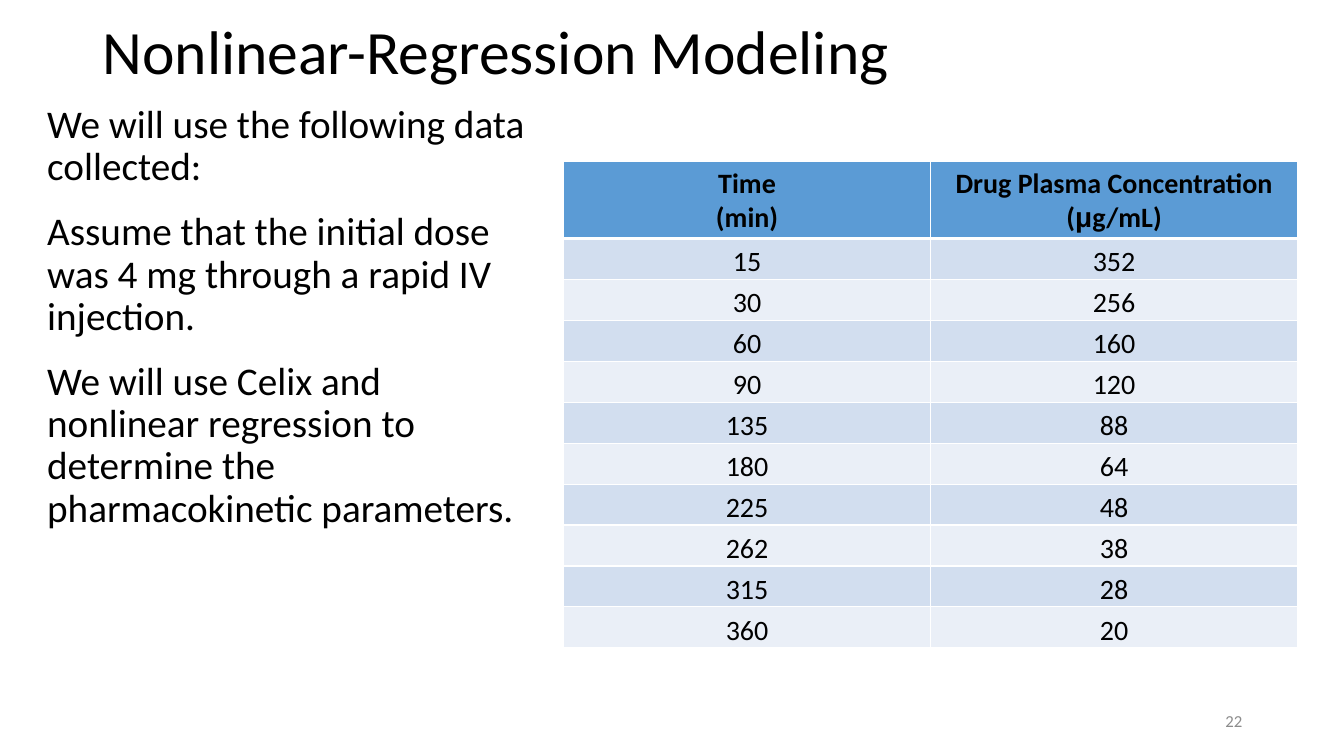
from dataclasses import dataclass
from lxml.etree import SubElement as Sub
from pptx import Presentation
from pptx.dml.color import RGBColor as Color
from pptx.enum.text import MSO_ANCHOR as Anchor, PP_ALIGN as Align
from pptx.oxml.ns import qn
from pptx.util import Inches, Pt

TITLE = "Nonlinear-Regression Modeling"
BODY = [
    "We will use the following data collected:",
    "Assume that the initial dose was 4 mg through a rapid IV injection.",
    "We will use Celix and nonlinear regression to determine the pharmacokinetic parameters.",
]
PAGE = "22"
HEADS = ["Time\n(min)", "Drug Plasma Concentration (μg/mL)"]
DATA = [
    (15, 352), (30, 256), (60, 160), (90, 120), (135, 88),
    (180, 64), (225, 48), (262, 38), (315, 28), (360, 20),
]


@dataclass
class Theme:
    font: str = "Calibri"
    greek: str = "Arial"
    ink: str = "000000"
    gray: str = "8C8C8C"
    head: str = "5B9BD5"
    bands: tuple = ("D2DEEF", "EAEFF7")
    line: str = "FFFFFF"
    title: int = 44
    body: int = 28
    cell: int = 20
    page: int = 12


theme = Theme()


def style(run, size, ink=theme.ink, bold=False, font=theme.font):
    run.font.name = font
    run.font.size = Pt(size)
    run.font.bold = bold
    run.font.color.rgb = Color.from_string(ink)


def add_text(slide, box, text, size, ink=theme.ink, anchor=Anchor.MIDDLE,
             align=Align.LEFT, pitch=None, gaps=(0, 0)):
    frame = slide.shapes.add_textbox(*map(Inches, box)).text_frame
    frame.word_wrap = True
    frame.vertical_anchor = anchor
    frame.text = text
    for para in frame.paragraphs:
        para.alignment = align
        para.line_spacing = pitch
        para.space_before, para.space_after = map(Pt, gaps)
        for run in para.runs:
            style(run, size, ink)


def add_edges(cell, top=1, low=1):
    props = cell._tc.get_or_add_tcPr()
    for tag, width in (("lnL", 1), ("lnR", 1), ("lnT", top), ("lnB", low)):
        edge = Sub(props, qn("a:" + tag), w=str(Pt(width)))
        fill = Sub(edge, qn("a:solidFill"))
        Sub(fill, qn("a:srgbClr"), val=theme.line)


def fill_cell(cell, text, shade, bold):
    cell.text_frame.text = text
    for para in cell.text_frame.paragraphs:
        para.alignment = Align.CENTER
        left, greek, right = para.text.partition("μ")
        para.text = left
        for part in filter(None, (greek, right)):
            para.add_run().text = part
        for run in para.runs:
            font = theme.greek if run.text == "μ" else theme.font
            style(run, theme.cell, bold=bold, font=font)
    cell.fill.solid()
    cell.fill.fore_color.rgb = Color.from_string(shade)


def add_data(slide):
    left, top, width, tall, row = 5.59, 1.6, 7.28, 0.76, 0.406
    rows = [HEADS, *DATA]
    box = map(Inches, (left, top, width, tall + row * len(DATA)))
    table = slide.shapes.add_table(len(rows), len(HEADS), *box).table
    for col in table.columns:
        col.width = Inches(width / len(HEADS))
    for i, vals in enumerate(rows):
        table.rows[i].height = Inches(row if i else tall)
        shade = theme.bands[(i - 1) % 2] if i else theme.head
        for j, val in enumerate(vals):
            cell = table.cell(i, j)
            add_edges(cell, 3 if i == 1 else 1, 1 if i else 3)
            fill_cell(cell, str(val), shade, i == 0)
            if i:
                cell.vertical_anchor = Anchor.BOTTOM
                cell.margin_left = cell.margin_right = cell.margin_top = Inches(0.01)
                cell.margin_bottom = 0


def main():
    deck = Presentation()
    deck.slide_width, deck.slide_height = Inches(13.33), Inches(7.5)
    slide = deck.slides.add_slide(deck.slide_layouts[6])
    add_text(slide, (0.92, 0.02, 11.5, 1.05), TITLE, theme.title, pitch=0.9)
    add_text(slide, (9.42, 6.95, 3, 0.4), PAGE, theme.page, theme.gray, align=Align.RIGHT)
    add_text(slide, (0.37, 0.99, 4.97, 6.36), "\n".join(BODY), theme.body,
             anchor=Anchor.TOP, pitch=0.9, gaps=(10, 6))
    add_data(slide)
    deck.save("out.pptx")


if __name__ == "__main__":
    main()
